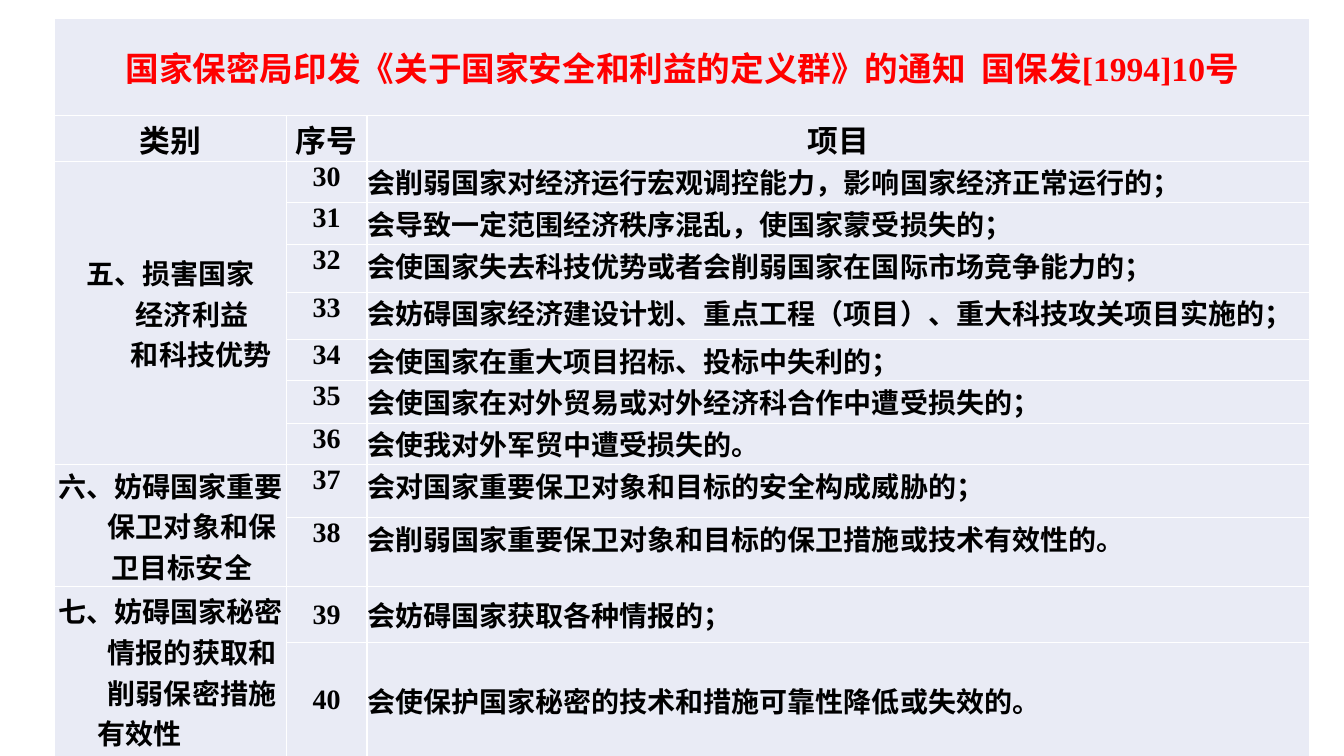
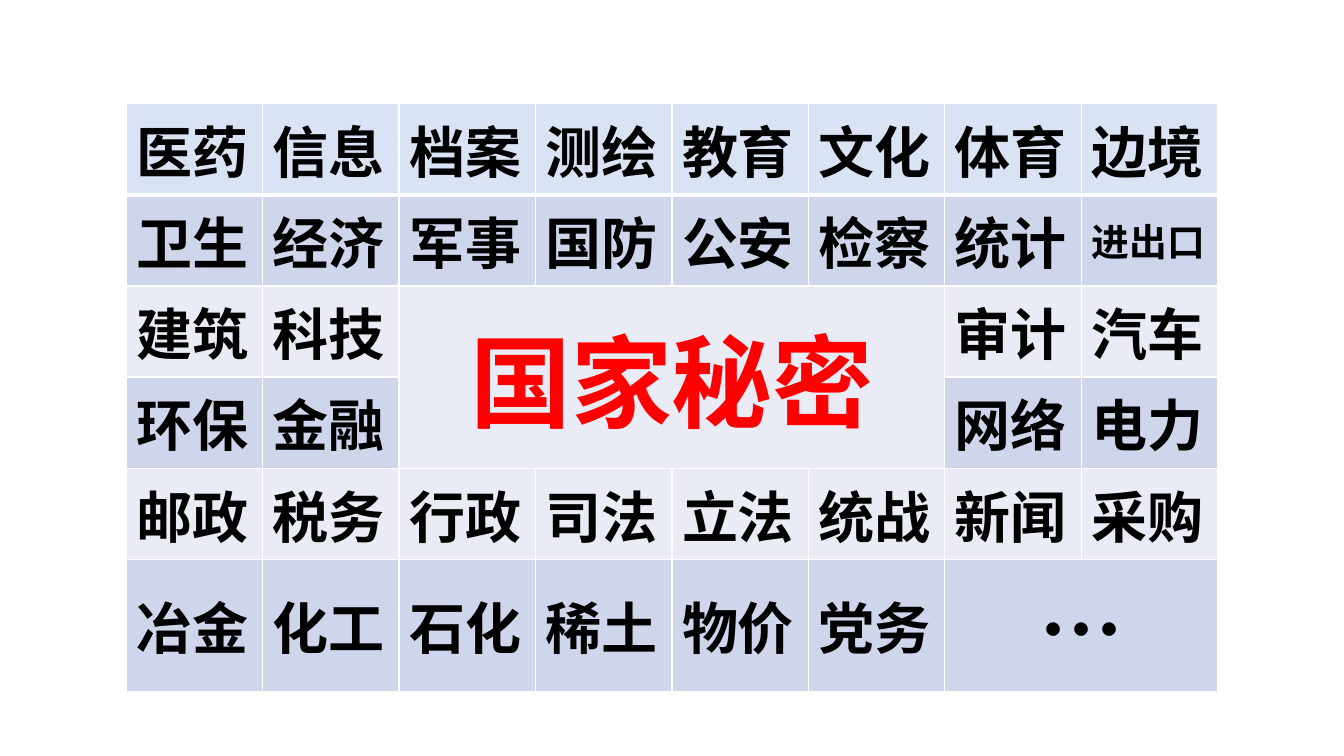
from dataclasses import dataclass
from itertools import product
from typing import Optional

from lxml.etree import SubElement
from pptx import Presentation
from pptx.dml.color import RGBColor
from pptx.enum.text import MSO_ANCHOR, PP_ALIGN
from pptx.oxml.ns import qn
from pptx.slide import Slide
from pptx.table import Table, _Cell
from pptx.util import Emu, Pt

EMU_PER_PX = 9144
SLIDE_WIDTH, SLIDE_HEIGHT = 1333, 750
CJK_FONT = "Noto Sans CJK SC"
LATIN_FONT = "Times New Roman"
BLACK, RED, WHITE = "000000", "FF0000", "FFFFFF"
PALE, BAND, HEADING = "E9EBF5", "CFD5EA", "DAE3F3"
TOP, MIDDLE, BOTTOM = MSO_ANCHOR.TOP, MSO_ANCHOR.MIDDLE, MSO_ANCHOR.BOTTOM
LEFT, CENTER = PP_ALIGN.LEFT, PP_ALIGN.CENTER


@dataclass(frozen=True)
class Line:
    text: str
    indent: int = 0
    align: Optional[PP_ALIGN] = None


@dataclass(frozen=True)
class Entry:
    row: int
    column: int
    lines: tuple[Line, ...]
    size: int
    align: PP_ALIGN = LEFT
    anchor: MSO_ANCHOR = MIDDLE
    color: str = BLACK
    row_span: int = 1
    column_span: int = 1


@dataclass(frozen=True)
class Grid:
    left: int
    top: int
    width: int
    column_widths: list[int]
    row_heights: list[int]
    row_fills: list[str]
    latin_font: str
    cell_format: dict[str, int]
    heading_rule: float = 1


@dataclass(frozen=True)
class Category:
    lines: tuple[Line, ...]
    items: tuple[str, ...]
    anchor: MSO_ANCHOR = TOP


CATEGORIES = (
    Category(
        (Line("五、损害国家"), Line("经济利益", 43), Line("和科技优势", 61)),
        (
            "会削弱国家对经济运行宏观调控能力，影响国家经济正常运行的；",
            "会导致一定范围经济秩序混乱，使国家蒙受损失的；",
            "会使国家失去科技优势或者会削弱国家在国际市场竞争能力的；",
            "会妨碍国家经济建设计划、重点工程（项目）、重大科技攻关项目实施的；",
            "会使国家在重大项目招标、投标中失利的；",
            "会使国家在对外贸易或对外经济科合作中遭受损失的；",
            "会使我对外军贸中遭受损失的。",
        ),
    ),
    Category(
        (Line("六、妨碍国家重要"), Line("保卫对象和保", 43), Line("卫目标安全", 23)),
        (
            "会对国家重要保卫对象和目标的安全构成威胁的；",
            "会削弱国家重要保卫对象和目标的保卫措施或技术有效性的。",
        ),
    ),
    Category(
        (
            Line("七、妨碍国家秘密"),
            Line("情报的获取和", 43),
            Line("削弱保密措施", 43),
            Line("有效性", 43, LEFT),
        ),
        (
            "会妨碍国家获取各种情报的；",
            "会使保护国家秘密的技术和措施可靠性降低或失效的。",
        ),
        MIDDLE,
    ),
)
FIRST_ITEM_NUMBER = 30

FIELDS = (
    "医药 信息 档案 测绘 教育 文化 体育 边境",
    "卫生 经济 军事 国防 公安 检察 统计 进出口",
    "建筑 科技 国家秘密 - - - 审计 汽车",
    "环保 金融 - - - - 网络 电力",
    "邮政 税务 行政 司法 立法 统战 新闻 采购",
    "冶金 化工 石化 稀土 物价 党务 … -",
)
SPECIAL_FIELDS = {
    "进出口": {"size": 27},
    "国家秘密": {
        "size": 72, "color": RED, "align": CENTER, "row_span": 2, "column_span": 4,
    },
    "…": {"size": 60, "align": CENTER, "column_span": 2},
}


def px(length: int) -> Emu:
    return Emu(length * EMU_PER_PX)


def rgb(value: str) -> RGBColor:
    return RGBColor.from_string(value)


def apply_format(target: object, values: dict) -> None:
    for attribute, value in values.items():
        setattr(target, attribute, value)


def add_border(cell: _Cell, side: str, width: float) -> None:
    properties = cell._tc.get_or_add_tcPr()
    border = SubElement(properties, qn(f"a:{side}"), w=str(Pt(width)))
    fill = SubElement(border, qn("a:solidFill"))
    SubElement(fill, qn("a:srgbClr"), val=WHITE)


def style_cell(cell: _Cell, row: int, grid: Grid) -> None:
    apply_format(cell, grid.cell_format)
    widths = {
        "lnL": 1,
        "lnR": 1,
        "lnT": grid.heading_rule if row == 1 else 1,
        "lnB": grid.heading_rule if row == 0 else 1,
    }
    for side, width in widths.items():
        add_border(cell, side, width)
    cell.fill.solid()
    cell.fill.fore_color.rgb = rgb(grid.row_fills[row])


def write_entry(table: Table, entry: Entry, latin_font: str) -> None:
    cell = table.cell(entry.row, entry.column)
    if entry.row_span * entry.column_span > 1:
        cell.merge(
            table.cell(
                entry.row + entry.row_span - 1,
                entry.column + entry.column_span - 1,
            )
        )
    cell.vertical_anchor = entry.anchor
    font_format = {"name": latin_font, "size": Pt(entry.size), "bold": True}
    for index, line in enumerate(entry.lines):
        frame = cell.text_frame
        paragraph = frame.add_paragraph() if index else frame.paragraphs[0]
        paragraph.alignment = entry.align if line.align is None else line.align
        if line.indent:
            paragraph._p.get_or_add_pPr().set("marL", str(px(line.indent)))
        run = paragraph.add_run()
        run.text = line.text
        apply_format(run.font, font_format)
        run.font.color.rgb = rgb(entry.color)
        SubElement(run._r.get_or_add_rPr(), qn("a:ea"), typeface=CJK_FONT)


def draw_grid(slide: Slide, grid: Grid, entries: list[Entry]) -> None:
    row_count, column_count = len(grid.row_heights), len(grid.column_widths)
    table = slide.shapes.add_table(
        row_count, column_count, px(grid.left), px(grid.top),
        px(grid.width), px(sum(grid.row_heights)),
    ).table
    apply_format(table, {"first_row": False, "horz_banding": False})
    total = sum(grid.column_widths)
    for column, width in zip(table.columns, grid.column_widths):
        column.width = Emu(px(grid.width) * width // total)
    for row, height in zip(table.rows, grid.row_heights):
        row.height = px(height)
    for row, column in product(range(row_count), range(column_count)):
        style_cell(table.cell(row, column), row, grid)
    for entry in entries:
        write_entry(table, entry, grid.latin_font)


def notice_entries() -> list[Entry]:
    heading = "国家保密局印发《关于国家安全和利益的定义群》的通知  国保发[1994]10号"
    entries = [Entry(0, 0, (Line(heading),), 24, CENTER, color=RED, column_span=3)]
    for column, label in enumerate(("类别", "序号", "项目")):
        entries.append(Entry(1, column, (Line(label),), 22, CENTER, BOTTOM))
    row = first_row = 2
    for category in CATEGORIES:
        entries.append(
            Entry(row, 0, category.lines, 20, CENTER, row_span=len(category.items))
        )
        for item in category.items:
            number = str(FIRST_ITEM_NUMBER + row - first_row)
            entries.append(Entry(row, 1, (Line(number),), 20, CENTER, category.anchor))
            entries.append(Entry(row, 2, (Line(item),), 20, LEFT, category.anchor))
            row += 1
    return entries


def field_entries() -> list[Entry]:
    return [
        Entry(row, column, (Line(field),), **{"size": 40, **SPECIAL_FIELDS.get(field, {})})
        for row, fields in enumerate(FIELDS)
        for column, field in enumerate(fields.split())
        if field != "-"
    ]


def main() -> None:
    presentation = Presentation()
    apply_format(
        presentation,
        {"slide_width": px(SLIDE_WIDTH), "slide_height": px(SLIDE_HEIGHT)},
    )
    blank = presentation.slide_layouts[6]
    sides = ("left", "right", "top", "bottom")
    notice_heights = [97, 45, 41, 42, 47, 47, 41, 42, 41, 53, 67, 56, 113]
    notice = Grid(
        54, 18, 1245, [230, 80, 935], notice_heights,
        [PALE] * len(notice_heights), LATIN_FONT,
        {f"margin_{side}": 0 for side in sides},
    )
    fields = Grid(
        125, 103, 1083, [1] * 8, [90] * 5 + [131],
        [HEADING, BAND, PALE, BAND, PALE, BAND], CJK_FONT, {}, heading_rule=3,
    )
    for grid, entries in ((notice, notice_entries()), (fields, field_entries())):
        draw_grid(presentation.slides.add_slide(blank), grid, entries)
    presentation.save("out.pptx")


if __name__ == "__main__":
    main()
